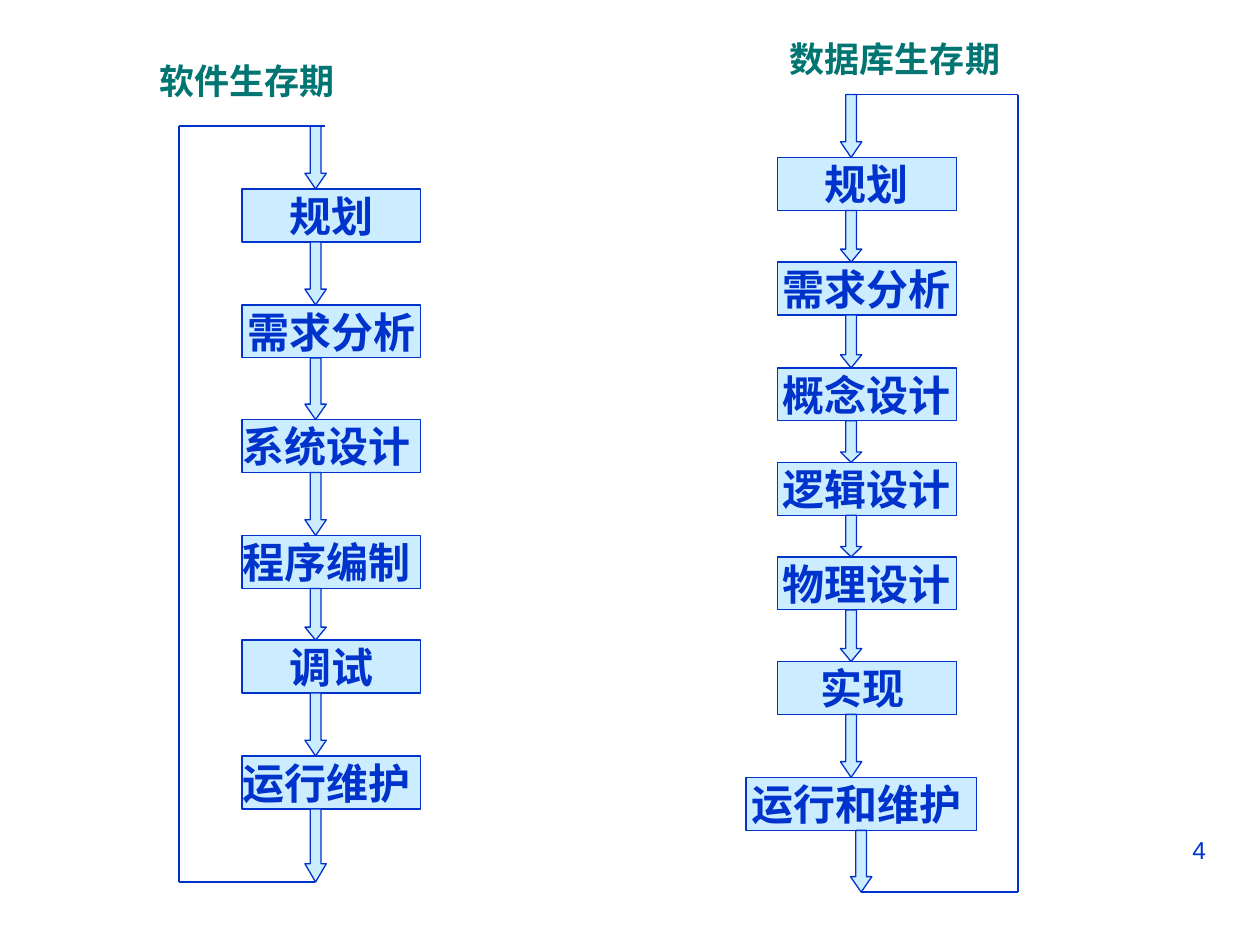
"""Build the slide comparing the software and database life cycles."""
import itertools

import pptx
import pptx.dml.color
import pptx.enum.shapes
import pptx.enum.text
import pptx.oxml
import pptx.util
from pptx.util import Inches

COLORS = {"ink": "0033CC", "box": "CCECFF", "title": "007572"}
CJK, SERIF, SANS = "Noto Sans CJK SC", "Times New Roman", "Arial"
BOX_HEIGHT, BOX_WIDTH, ARROW_WIDTH = 0.42, 1.42, 0.17
ALIGN = pptx.enum.text.PP_ALIGN
SHAPE = pptx.enum.shapes.MSO_SHAPE


class LifeCycleSlide:
    """Hold the style, the current slide and the group being filled."""

    def __init__(self, deck):
        self.slide = deck.slides.add_slide(deck.slide_layouts[6])
        self.group = None

    def start_group(self):
        self.group = self.slide.shapes.add_group_shape()

    def rgb(self, color):
        return pptx.dml.color.RGBColor.from_string(COLORS[color])

    def outline(self, part):
        part.line.color.rgb = self.rgb("ink")
        part.line.width = pptx.util.Pt(0.75)

    def add_text(self, frame, text, font, size, color, bold=True, align=ALIGN.LEFT):
        paragraph = frame.paragraphs[0]
        paragraph.alignment = align
        run = paragraph.add_run()
        run.text = text
        run.font.name = font
        run.font.size = pptx.util.Pt(size)
        run.font.bold = bold
        run.font.color.rgb = self.rgb(color)

    def block(self, preset, left, top, width, height):
        block = self.group.shapes.add_shape(
            preset, Inches(left), Inches(top), Inches(width), Inches(height))
        block.shadow.inherit = False
        block.fill.solid()
        block.fill.fore_color.rgb = self.rgb("box")
        self.outline(block)
        return block

    def stage(self, text, font, left, top, width):
        frame = self.block(SHAPE.RECTANGLE, left, top, width, BOX_HEIGHT).text_frame
        frame.word_wrap = False
        frame.vertical_anchor = pptx.enum.text.MSO_ANCHOR.MIDDLE
        self.add_text(frame, text, font, 24, "ink", align=ALIGN.CENTER)

    def arrow(self, left, top, bottom):
        height = bottom - top
        arrow = self.block(SHAPE.DOWN_ARROW, left, top, ARROW_WIDTH, height)
        arrow.adjustments[1] = height / ARROW_WIDTH / 4

    def loop(self, points):
        for (x1, y1), (x2, y2) in itertools.pairwise(points):
            line = self.group.shapes.add_connector(
                pptx.enum.shapes.MSO_CONNECTOR.STRAIGHT,
                Inches(x1), Inches(y1), Inches(x2), Inches(y2))
            self.outline(line)
            line._element.spPr.append(pptx.oxml.parse_xml(
                '<a:effectLst xmlns:a="http://schemas.openxmlformats.org/drawingml/2006/main"/>'))

    def text_box(self, left, top, width, height):
        frame = self.slide.shapes.add_textbox(
            Inches(left), Inches(top), Inches(width), Inches(height)).text_frame
        frame.word_wrap = True
        return frame

    def title(self, text, left, top, width):
        frame = self.text_box(left, top, width, 0.44)
        frame.auto_size = pptx.enum.text.MSO_AUTO_SIZE.SHAPE_TO_FIT_TEXT
        frame.paragraphs[0].space_before = pptx.util.Pt(12.5)
        self.add_text(frame, text, SERIF, 20, "title")

    def page_number(self, text):
        frame = self.text_box(7.17, 6.58, 2.5, 0.52)
        self.add_text(frame, text, SANS, 14, "ink", bold=False, align=ALIGN.RIGHT)

    def cycle(self, stages, left, start, end, loop, last=(0, 0, 0)):
        """Draw stages joined by arrows; last shifts the final box, its width and its arrow."""
        self.start_group()
        box_shift, extra_width, arrow_shift = last
        arrow_left = left + 0.5
        previous = start
        for text, font, top in stages:
            final = text == stages[-1][0]
            self.stage(text, font, left + box_shift * final, top,
                       BOX_WIDTH + extra_width * final)
            self.arrow(arrow_left, previous, top)
            previous = top + BOX_HEIGHT
        self.arrow(arrow_left + arrow_shift, previous, end)
        self.loop(loop)


SOFTWARE = [("规划", SERIF, 1.5), ("需求分析", SERIF, 2.42),
            ("系统设计 ", CJK, 3.33), ("程序编制 ", CJK, 4.25),
            (" 调试 ", CJK, 5.08), ("运行维护 ", CJK, 6)]
DATABASE = [("规划", SERIF, 1.25), ("需求分析", CJK, 2.08),
            ("概念设计", CJK, 2.92), ("逻辑设计", CJK, 3.67),
            ("物理设计", CJK, 4.42), ("实现 ", CJK, 5.25),
            ("运行和维护 ", CJK, 6.17)]


def main():
    deck = pptx.Presentation()
    deck.slide_width, deck.slide_height = Inches(10), Inches(7.5)
    page = LifeCycleSlide(deck)
    page.page_number("4")
    page.cycle(SOFTWARE, 1.92, 1, 7,
               [(2.5, 7), (1.42, 7), (1.42, 1), (2.58, 1)])
    page.cycle(DATABASE, 6.17, 0.75, 7.08,
               [(6.83, 7.08), (8.08, 7.08), (8.08, 0.75), (6.75, 0.75)],
               last=(-0.25, 0.41, 0.08))
    page.title("软件生存期", 1.17, 0.42, 2.17)
    page.title("数据库生存期", 6.17, 0.25, 2)
    deck.save("out.pptx")


if __name__ == "__main__":
    main()
